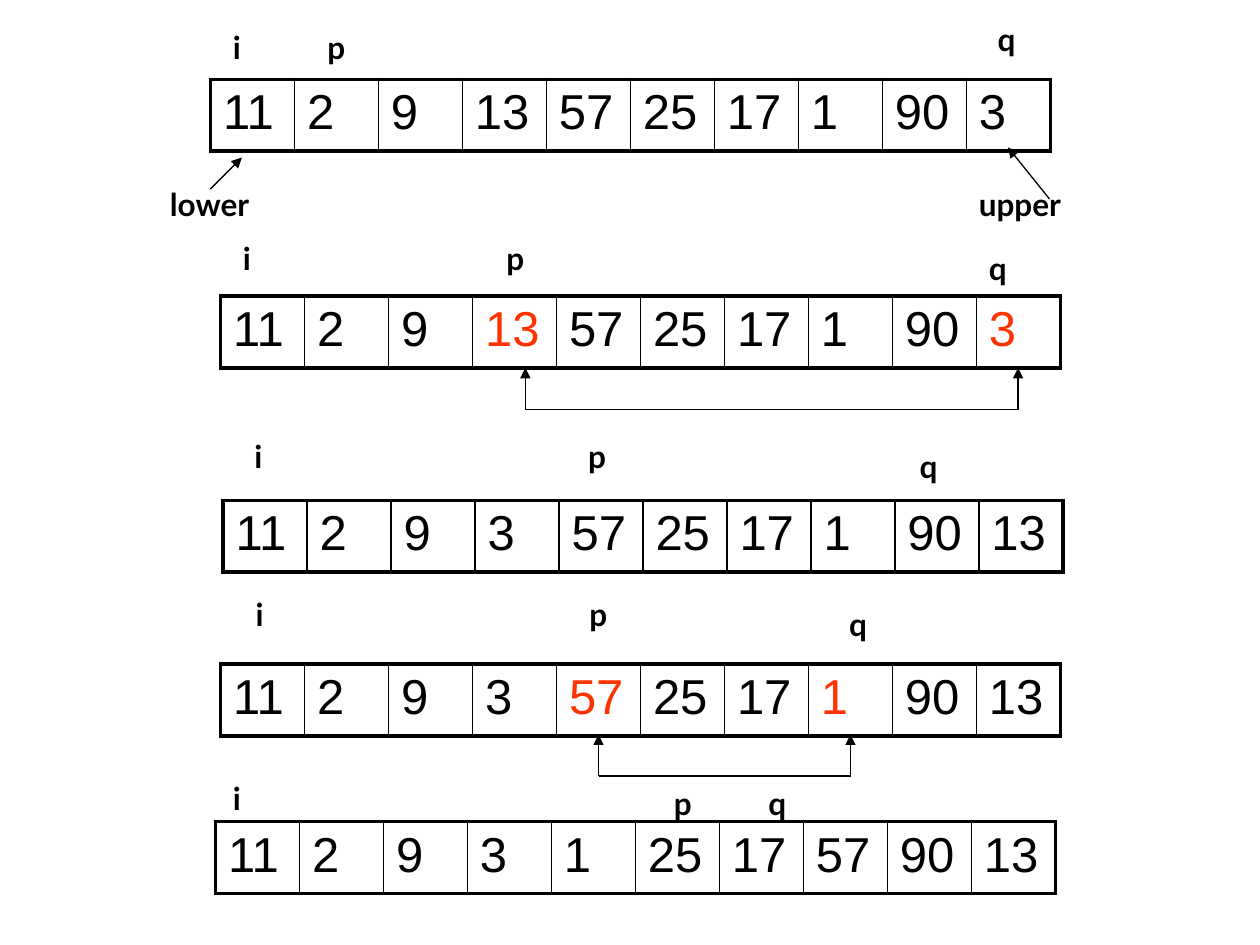
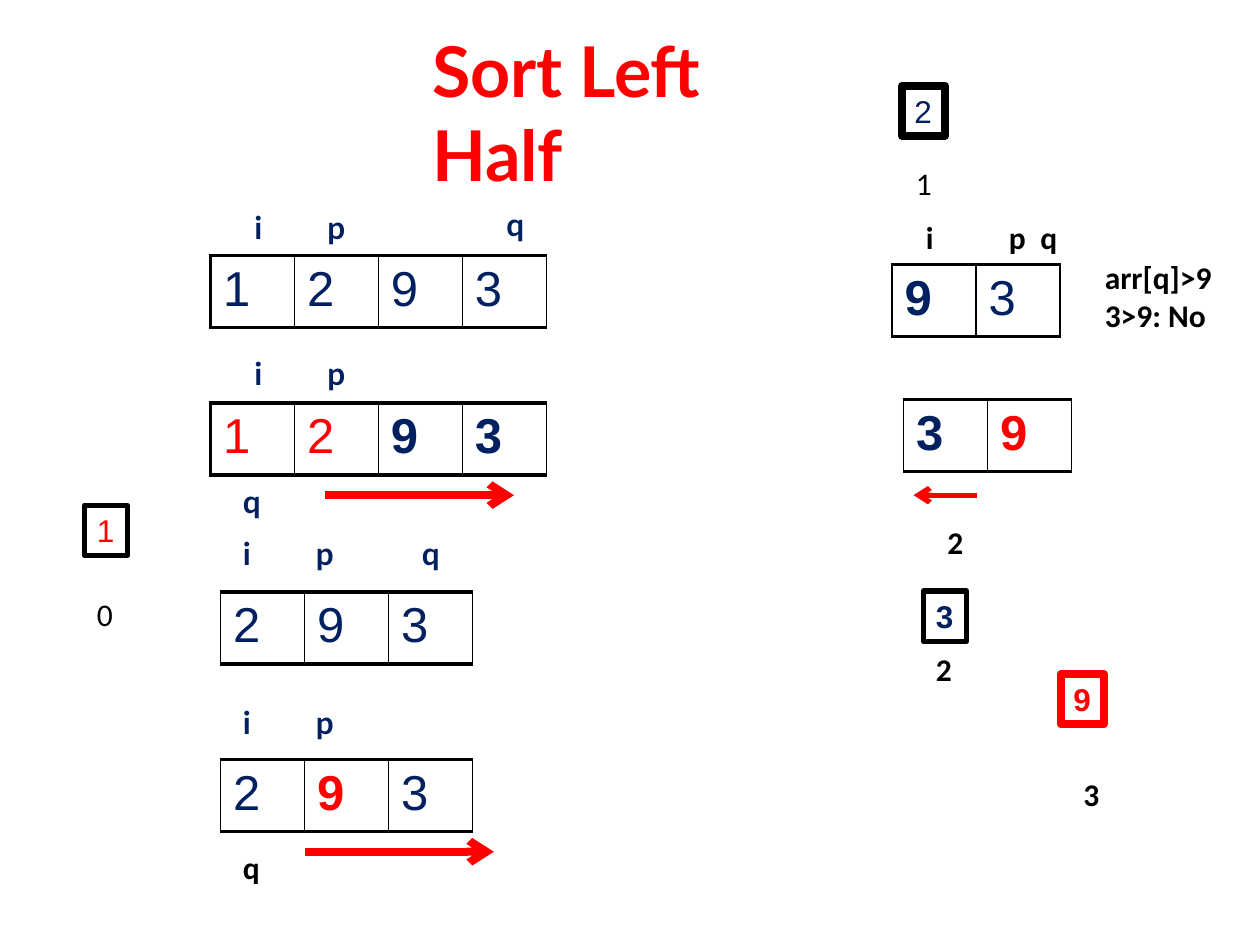
from lxml import etree
from pptx import Presentation
from pptx.dml.color import RGBColor
from pptx.enum import shapes, text
from pptx.oxml import ns
from pptx.util import Inches, Pt

BLACK = RGBColor(0x00, 0x00, 0x00)
NAVY = RGBColor(0x00, 0x20, 0x60)
RED = RGBColor(0xFF, 0x00, 0x00)
ORANGE = RGBColor(0xFF, 0x33, 0x00)
CELL = 2 / 3
HIGH = 0.57
THICK, THIN = 2.25, 1


def apply(thing, **vals):
    for name, val in vals.items():
        setattr(thing, name, val)


class Deck:
    """Holds the current slide with its text colour, accent and wrapping."""

    def __init__(self):
        self.prs = Presentation()
        apply(self.prs, slide_width=Inches(10), slide_height=Inches(7.5))

    def start(self, layout, ink, hot, wrap):
        self.slide = self.prs.slides.add_slide(self.prs.slide_layouts[layout])
        apply(self, ink=ink, hot=hot, wrap=wrap)

    def letter(self, frame, words, color, size=18, name="Lato", bold=True):
        frame.text = words
        for para in frame.paragraphs:
            para.alignment = text.PP_ALIGN.LEFT
            font = para.runs[0].font
            apply(font, size=Pt(size), name=name, bold=bold)
            font.color.rgb = color

    def title(self, words, x, y, w, h):
        box = self.slide.shapes.title
        apply(box, left=Inches(x), top=Inches(y), width=Inches(w), height=Inches(h))
        apply(box.text_frame, word_wrap=True, auto_size=text.MSO_AUTO_SIZE.NONE,
              vertical_anchor=text.MSO_ANCHOR.TOP)
        self.letter(box.text_frame, words, self.hot, size=40)

    def label(self, words, x, y, w=0.34, h=0.4, color=None, **style):
        box = self.slide.shapes.add_textbox(Inches(x), Inches(y), Inches(w), Inches(h))
        apply(box.text_frame, word_wrap=self.wrap,
              auto_size=text.MSO_AUTO_SIZE.SHAPE_TO_FIT_TEXT)
        self.letter(box.text_frame, words, color or self.ink, **style)

    def box(self, words, x, y, color, edge, weight, bold):
        """A framed single value."""
        rect = self.slide.shapes.add_shape(
            shapes.MSO_SHAPE.RECTANGLE, Inches(x), Inches(y), Inches(0.34), Inches(0.4))
        rect.shadow.inherit = False
        rect.fill.background()
        rect.line.color.rgb = edge
        rect.line.width = Pt(weight)
        apply(rect.text_frame, word_wrap=False, vertical_anchor=text.MSO_ANCHOR.TOP,
              auto_size=text.MSO_AUTO_SIZE.SHAPE_TO_FIT_TEXT)
        self.letter(rect.text_frame, words, color, name="Arial", bold=bold)

    def line(self, x1, y1, x2, y2, color=BLACK, weight=0.75, head="triangle"):
        link = self.slide.shapes.add_connector(
            shapes.MSO_CONNECTOR.STRAIGHT, Inches(x1), Inches(y1), Inches(x2), Inches(y2))
        link.line.color.rgb = color
        link.line.width = Pt(weight)
        props = link.element.spPr
        if head:
            etree.SubElement(props.find(ns.qn("a:ln")), ns.qn("a:tailEnd"), type=head)
        etree.SubElement(props, ns.qn("a:effectLst"))

    def swap(self, x1, x2, y):
        """A bracket with arrows up to the two cells that change places."""
        low = y + 0.33
        for x in (x1, x2):
            self.line(x, low, x, y)
        self.line(x1, low, x2, low, head=None)

    def edge(self, cell, sides):
        props = cell._tc.get_or_add_tcPr()
        for i, (side, weight) in enumerate(sides.items()):
            ln = etree.Element(ns.qn("a:ln" + side), w=str(Pt(weight)))
            fill = etree.SubElement(ln, ns.qn("a:solidFill"))
            etree.SubElement(fill, ns.qn("a:srgbClr"), val=str(BLACK))
            props.insert(i, ln)

    def array(self, values, x, y, hot=(), bold=(), left=THIN, right=THIN):
        """One row of cells; hot and bold list the values that stand out."""
        items = values.split()
        last = len(items) - 1
        grid = self.slide.shapes.add_table(
            1, len(items), Inches(x), Inches(y),
            Inches(CELL * len(items)), Inches(HIGH)).table
        apply(grid, first_row=False, horz_banding=False)
        for i, item in enumerate(items):
            grid.columns[i].width = Inches(CELL)
            cell = grid.cell(0, i)
            cell.fill.background()
            self.edge(cell, {"L": THIN if i else left, "R": right if i == last else THIN,
                             "T": THICK, "B": THICK})
            self.letter(cell.text_frame, item, self.hot if item in hot else self.ink,
                        size=28, name="Arial", bold=item in bold)


def partition(deck):
    deck.start(6, BLACK, ORANGE, True)
    steps = [
        ("11 2 9 13 57 25 17 1 90 3", 1.67, 0.63, ""),
        ("11 2 9 13 57 25 17 1 90 3", 1.75, 2.35, "13 3"),
        ("11 2 9 3 57 25 17 1 90 13", 1.77, 3.97, ""),
        ("11 2 9 3 57 25 17 1 90 13", 1.75, 5.27, "57 1"),
        ("11 2 9 3 1 25 17 57 90 13", 1.71, 6.52, ""),
    ]
    for values, x, y, hot in steps:
        deck.array(values, x, y, hot.split(), left=THICK, right=THICK)
    marks = [
        ((1.75, 0.17), (2.5, 0.17), (7.82, 0.11)),
        ((1.83, 1.85), (3.92, 1.85), (7.75, 1.93)),
        ((1.92, 3.42), (4.57, 3.42), (7.2, 3.5)),
        ((1.93, 4.67), (4.58, 4.67), (6.64, 4.75)),
        ((1.75, 6.13), (5.25, 6.17), (6, 6.17)),
    ]
    for spots in marks:
        for name, (x, y) in zip("ipq", spots):
            deck.label(name, x, y, 0.42)
    for name, x in (("lower", 1.25), ("upper", 7.67)):
        deck.label(name, x, 1.42, 1.08)
    deck.line(1.67, 1.5, 1.92, 1.25)
    deck.line(8.33, 1.58, 8, 1.17)
    deck.swap(4.17, 8.08, 2.92)
    deck.swap(4.75, 6.75, 5.83)


def halves(deck):
    deck.start(5, NAVY, RED, False)
    deck.title("Sort Left Half", 3.33, 0.17, 3.22, 0.77)

    deck.array("1 2 9 3", 1.67, 2.03, left=THICK)
    deck.array("1 2 9 3", 1.67, 3.2, hot="12", bold="93", left=THICK)
    deck.array("2 9 3", 1.75, 4.7)
    deck.array("2 9 3", 1.75, 6.03, hot="9", bold="9")
    deck.array("9 3", 7.08, 2.1, bold="9")
    deck.array("3 9", 7.17, 3.17, hot="9", bold="39")

    for x, y in ((1.92, 1.6), (1.92, 2.76), (1.83, 4.19), (1.83, 5.53)):
        deck.label("i", x, y, 0.27)
        deck.label("p", x + 0.58, y)
    for x, y in ((3.92, 1.58), (1.83, 3.78), (3.25, 4.19)):
        deck.label("q", x, y)

    plain = {"color": BLACK, "name": "Calibri"}
    notes = [
        ("q", 1.83, 6.68, 0.34), ("i", 7.25, 1.68, 0.26),
        ("p", 7.91, 1.68, 0.34), ("q", 8.16, 1.68, 0.34),
        ("2", 7.42, 4.1, 0.33), ("2", 7.33, 5.11, 0.33), ("3", 8.5, 6.1, 0.33),
    ]
    for note in notes:
        deck.label(*note, **plain)
    deck.label("arr[q]>9\n3>9: No", 8.67, 2, 1.06, 0.71, **plain)
    for name, x, y in (("0", 0.67, 4.67), ("1", 7.17, 1.25)):
        deck.label(name, x, y, 0.33, bold=False, **plain)

    deck.box("1", 0.67, 4.01, RED, BLACK, 3, False)
    deck.box("2", 7.16, 0.68, NAVY, BLACK, 4.5, False)
    deck.box("3", 7.33, 4.69, NAVY, BLACK, 3, True)
    deck.box("9", 8.42, 5.35, RED, RED, 4.5, True)

    for x1, x2, y, weight in ((2.58, 4.08, 3.93, 4.5), (2.42, 3.92, 6.76, 4.5),
                              (7.75, 7.25, 3.93, 3)):
        deck.line(x1, y, x2, y, RED, weight, "arrow")


def main():
    deck = Deck()
    partition(deck)
    halves(deck)
    deck.prs.save("out.pptx")


if __name__ == "__main__":
    main()
